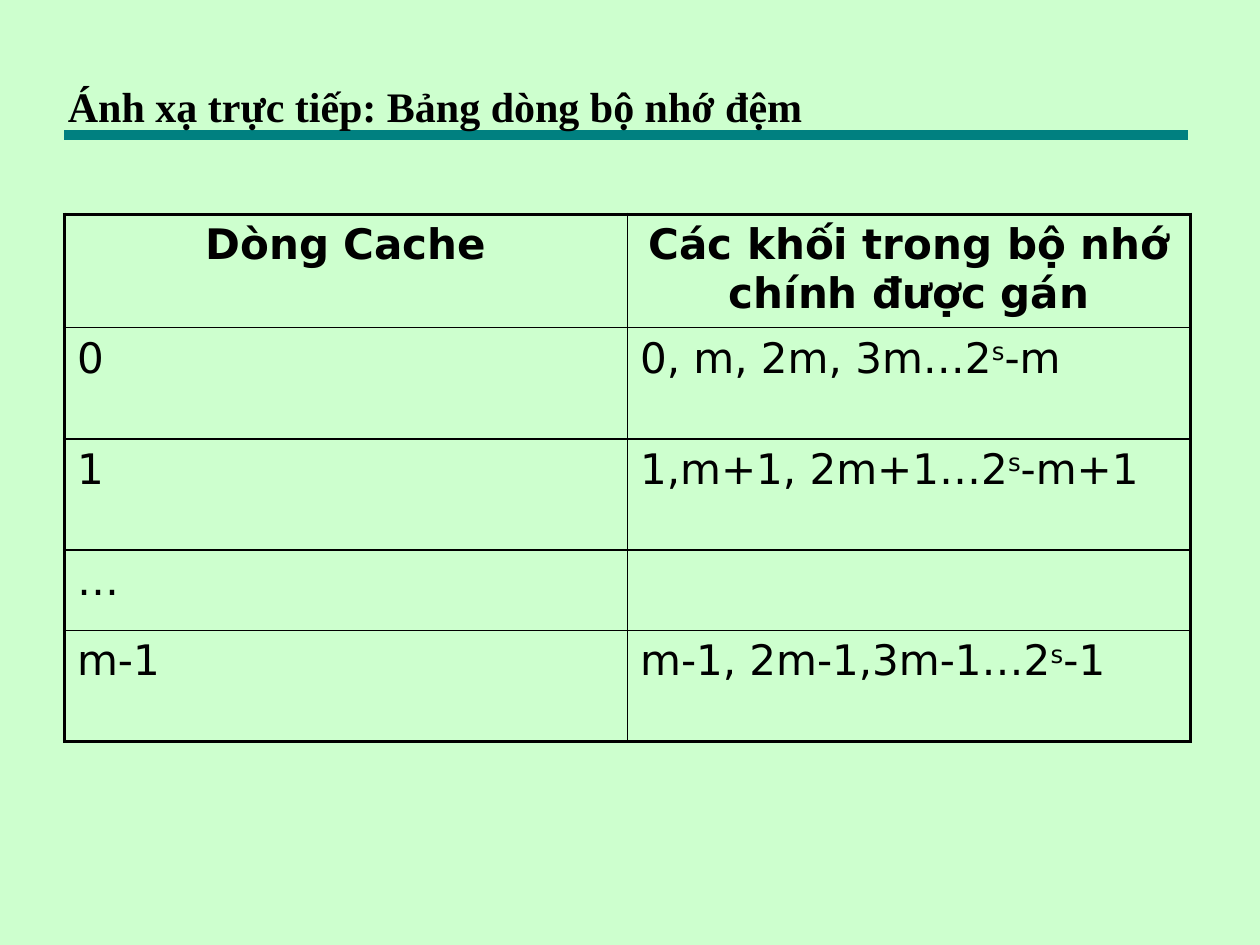
from lxml import etree
from pptx import Presentation
from pptx.dml.color import RGBColor
from pptx.enum.shapes import MSO_CONNECTOR
from pptx.enum.text import MSO_ANCHOR, PP_ALIGN
from pptx.oxml.ns import qn
from pptx.util import Cm, Pt

STRAIGHT = MSO_CONNECTOR.STRAIGHT
BOTTOM = MSO_ANCHOR.BOTTOM
CENTER = PP_ALIGN.CENTER

BACKGROUND, TEAL, BLACK = "CDFFCE", "008080", "000000"
TITLE_FONT, TABLE_FONT = "Times New Roman", "DejaVu Sans"
OUTER_WIDTH, INNER_WIDTH = Pt(2.25), Pt(1)

TITLE = "Ánh xạ trực tiếp: Bảng dòng bộ nhớ đệm"
# Each cell is a list of runs; the second run is a superscript.
CACHE_ROWS = [
    (["Dòng Cache"], ["Các khối trong bộ nhớ chính được gán"]),
    (["0"], ["0, m, 2m, 3m…2", "s", "-m"]),
    (["1"], ["1,m+1, 2m+1…2", "s", "-m+1"]),
    (["…"], []),
    (["m-1"], ["m-1, 2m-1,3m-1…2", "s", "-1"]),
]
ROW_HEIGHTS = [Cm(2.24), Cm(2.24), Cm(2.24), Cm(1.62), Cm(2.24)]


def color(hex_string):
    return RGBColor.from_string(hex_string)


def style_run(run, font_name, bold):
    run.font.name = font_name
    run.font.size = Pt(24)
    run.font.bold = bold
    run.font.color.rgb = color(BLACK)


def add_title(slide, left, top, width, height):
    """Place the title at the foot of its box, with the teal rule under it."""
    rule_y = top + height - Cm(0.05)
    rule = slide.shapes.add_connector(
        STRAIGHT, left + Cm(0.18), rule_y, left + width + Cm(0.05), rule_y)
    rule.line.color.rgb = color(TEAL)
    rule.line.width = Pt(6)
    etree.SubElement(rule._element.spPr, qn("a:effectLst"))

    text_frame = slide.shapes.add_textbox(left, top, width, height).text_frame
    text_frame.word_wrap = True
    text_frame.vertical_anchor = BOTTOM
    text_frame.text = TITLE
    style_run(text_frame.paragraphs[0].runs[0], TITLE_FONT, True)


def set_borders(cell, outer_sides):
    """Draw all four borders, thicker on the sides that edge the table."""
    properties = cell._tc.get_or_add_tcPr()
    for side in "LRTB":
        width = OUTER_WIDTH if side in outer_sides else INNER_WIDTH
        border = etree.SubElement(properties, qn(f"a:ln{side}"), w=str(width))
        fill = etree.SubElement(border, qn("a:solidFill"))
        etree.SubElement(fill, qn("a:srgbClr"), val=BLACK)


def fill_cell(cell, texts, is_header):
    paragraph = cell.text_frame.paragraphs[0]
    if is_header:
        paragraph.alignment = CENTER
    for index, text in enumerate(texts):
        run = paragraph.add_run()
        run.text = text
        style_run(run, TABLE_FONT, is_header)
        if index == 1:
            run._r.get_or_add_rPr().set("baseline", "30000")


def add_cache_table(slide, left, top, width):
    last_row = len(CACHE_ROWS) - 1
    table = slide.shapes.add_table(
        len(CACHE_ROWS), 2, left, top, width, sum(ROW_HEIGHTS)).table
    for column in table.columns:
        column.width = width // 2
    for row_index, row_texts in enumerate(CACHE_ROWS):
        table.rows[row_index].height = ROW_HEIGHTS[row_index]
        for column_index, texts in enumerate(row_texts):
            cell = table.cell(row_index, column_index)
            outer_sides = "LR"[column_index]
            if row_index == 0:
                outer_sides += "T"
            if row_index == last_row:
                outer_sides += "B"
            set_borders(cell, outer_sides)
            cell.fill.background()
            fill_cell(cell, texts, row_index == 0)


def main():
    presentation = Presentation()
    presentation.slide_width = Cm(25.4)
    presentation.slide_height = Cm(19.05)
    slide = presentation.slides.add_slide(presentation.slide_layouts[6])
    slide.background.fill.solid()
    slide.background.fill.fore_color.rgb = color(BACKGROUND)
    add_title(slide, Cm(1.12), Cm(0.43), Cm(22.78), Cm(2.34))
    add_cache_table(slide, Cm(1.3), Cm(4.32), Cm(22.7))
    presentation.save("out.pptx")


if __name__ == "__main__":
    main()
